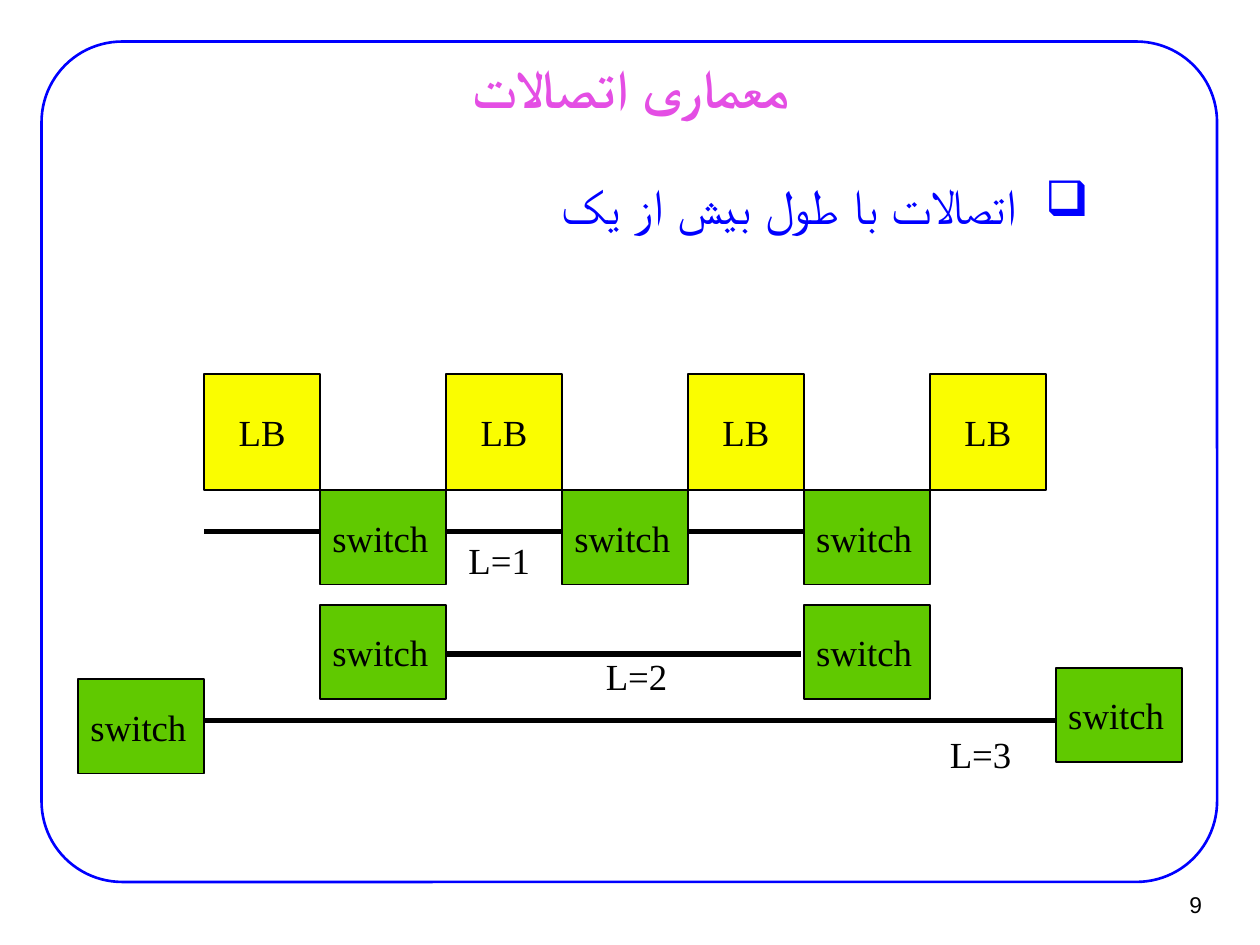
import pptx
import pptx.util
import pptx.dml.color
import pptx.enum.shapes
import pptx.enum.text
import pptx.oxml
import pptx.oxml.ns
from dataclasses import dataclass

Inches, Pt = pptx.util.Inches, pptx.util.Pt
MSO = pptx.enum.shapes.MSO_SHAPE
ALIGN = pptx.enum.text.PP_ALIGN
ANCHOR = pptx.enum.text.MSO_ANCHOR
AUTO = pptx.enum.text.MSO_AUTO_SIZE


@dataclass
class Theme:
    sans: str = "Arial"
    serif: str = "Times New Roman"
    title: str = "E44EE4"
    accent: str = "0000FF"
    ink: str = "000000"
    block: str = "FAFD00"
    switch: str = "60C900"
    title_size: int = 31
    body_size: int = 28
    label_size: int = 21
    number_size: int = 13


theme = Theme()

# Content
TITLE = "معماری اتصالات"
BULLET = "اتصالات با طول بیش از یک"
PAGE = "9"
PITCH, LEFT = 1.92, 0.62            # column spacing, first switch column
BLOCK, SWITCH_W, SWITCH_H = 0.92, 1, 0.75
BLOCK_TOP, BLOCK_COUNT = 2.97, 4
cols = [LEFT + PITCH * i for i in range(4)]
switches = [(cols[1], 3.89), (cols[2], 3.89), (cols[3], 3.89),
            (cols[1], 4.8), (cols[3], 4.8), (cols[0], 5.39), (8.38, 5.3)]
wires = [(c + SWITCH_W, c + PITCH, 4.22) for c in cols[:3]]
wires += [(cols[1] + SWITCH_W, 6.36, 5.19), (cols[0] + SWITCH_W, 8.38, 5.72)]
labels = [("L=1", 3.62, 4.22, 0.76, 0.5), ("L=2", 4.71, 5.14, 0.76, 0.5),
          ("L=3", 7.44, 5.76, 0.7, 0.45)]

prs = pptx.Presentation()
prs.slide_width, prs.slide_height = Inches(10), Inches(7.5)
slide = prs.slides.add_slide(prs.slide_layouts[5])


def rgb(value):
    return pptx.dml.color.RGBColor.from_string(value)


def write(sp, text, size, font, color, align=ALIGN.LEFT, bold=False, rtl=False,
          inset=(0.1, 0.05), **frame):
    tf = sp.text_frame
    x, y = map(Inches, inset)
    values = dict(margin_left=x, margin_right=x, margin_top=y, margin_bottom=y,
                  word_wrap=False, auto_size=AUTO.NONE)
    for name, value in {**values, **frame}.items():
        setattr(tf, name, value)
    p = tf.paragraphs[0]
    p.alignment = align
    r = p.add_run()
    r.text = text
    for name, value in dict(size=Pt(size), name=font, bold=bold).items():
        setattr(r.font, name, value)
    r.font.color.rgb = rgb(color)
    if rtl:
        p._p.get_or_add_pPr().set("rtl", "1")
        cs = pptx.oxml.parse_xml('<a:cs %s typeface="%s"/>' % (pptx.oxml.ns.nsdecls("a"), font))
        r.font._element.append(cs)
    return p


def add_box(kind, at, line, width, fill=None):
    sp = slide.shapes.add_shape(kind, *map(Inches, at))
    sp.shadow.inherit = False
    if fill:
        sp.fill.solid()
        sp.fill.fore_color.rgb = rgb(fill)
    else:
        sp.fill.background()
    sp.line.color.rgb, sp.line.width = rgb(line), Pt(width)
    return sp


def add_text(at, *args, **kwargs):
    sp = slide.shapes.add_textbox(*map(Inches, at))
    return write(sp, *args, **kwargs)


label = (theme.label_size, theme.serif, theme.ink)

# Frame
frame = add_box(MSO.ROUNDED_RECTANGLE, (0.33, 0.33, 9.33, 6.67), theme.accent, 1.5)
frame.adjustments[0] = 0.096

# Title
title = slide.shapes.title
for name, value in dict(left=0.76, top=0.44, width=8.5, height=0.49).items():
    setattr(title, name, Inches(value))
write(title, TITLE, theme.title_size, theme.sans, theme.title, ALIGN.CENTER, bold=True,
      rtl=True, inset=(0.11, 0.06), word_wrap=True, vertical_anchor=ANCHOR.MIDDLE)

# Bullet
p = add_text((3.67, 1.33, 5.58, 2.65), BULLET, theme.body_size, theme.sans, theme.accent,
             ALIGN.RIGHT, rtl=True, inset=(0.11, 0.06), word_wrap=True)
p.level = 1
p.space_before = Pt(theme.body_size * 0.2)
pPr = p._p.get_or_add_pPr()
pPr.set("marL", str(Inches(1.08)))
pPr.set("indent", str(Inches(-0.58)))
pPr.append(pptx.oxml.parse_xml('<a:buChar %s char="❑"/>' % pptx.oxml.ns.nsdecls("a")))

# Page number
add_text((9.02, 6.99, 0.61, 0.37), PAGE, theme.number_size, theme.sans, theme.ink,
         ALIGN.RIGHT, inset=(0.09, 0.04), vertical_anchor=ANCHOR.MIDDLE)

# Wires
for x1, x2, y in wires:
    wire = slide.shapes.add_connector(pptx.enum.shapes.MSO_CONNECTOR.STRAIGHT,
                                      *map(Inches, (x1, y, x2, y)))
    wire.line.color.rgb, wire.line.width = rgb(theme.ink), Pt(3)
    wire._element.spPr.append(
        pptx.oxml.parse_xml("<a:effectLst %s/>" % pptx.oxml.ns.nsdecls("a")))

# Logic blocks and switches
boxes = [("LB", (LEFT + SWITCH_W + PITCH * i, BLOCK_TOP, BLOCK, BLOCK), theme.block, ALIGN.CENTER)
         for i in range(BLOCK_COUNT)]
boxes += [("switch", (x, y, SWITCH_W, SWITCH_H), theme.switch, ALIGN.LEFT) for x, y in switches]
for text, at, fill, align in boxes:
    sp = add_box(MSO.RECTANGLE, at, theme.ink, 1, fill)
    write(sp, text, *label, align, vertical_anchor=ANCHOR.MIDDLE)

# Wire lengths
for text, *at in labels:
    add_text(at, text, *label, auto_size=AUTO.SHAPE_TO_FIT_TEXT)

prs.save("out.pptx")
